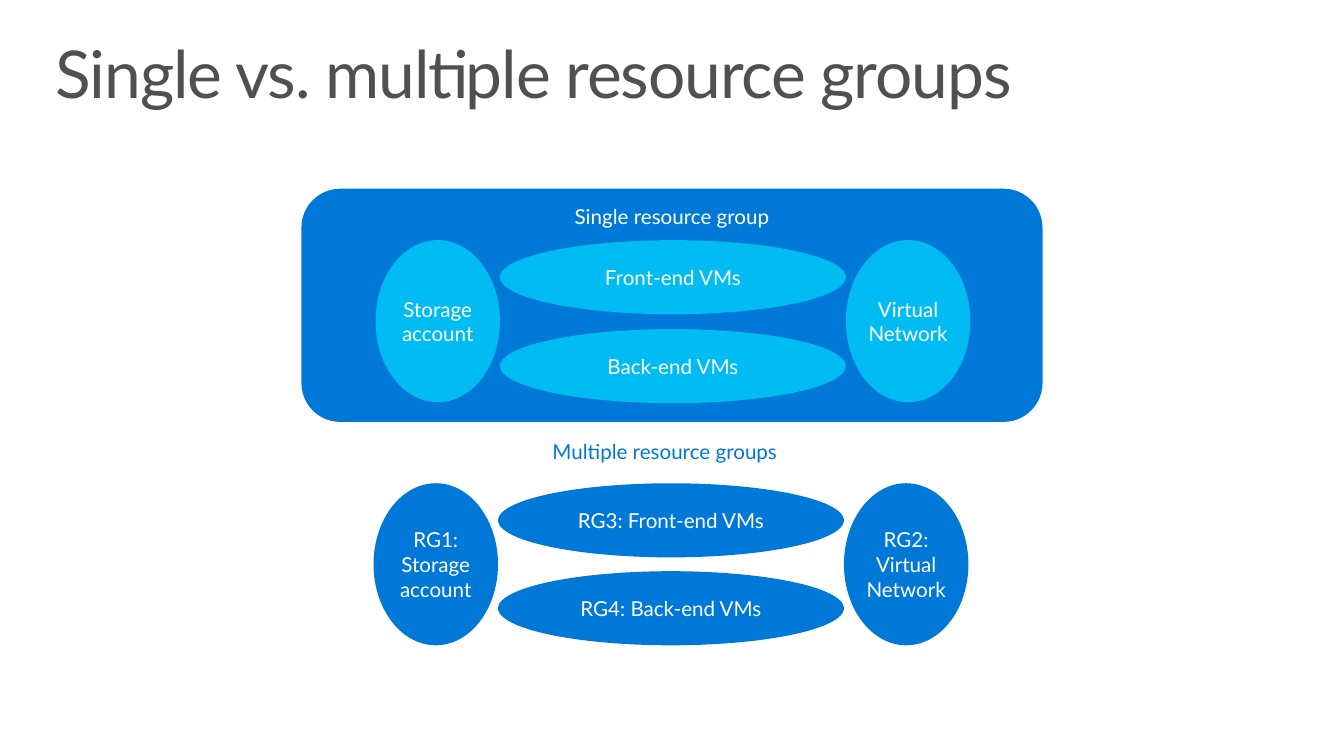
from pptx import Presentation
from pptx.dml.color import RGBColor
from pptx.enum import shapes, text
from pptx.util import Inches, Pt

FONT = "Lato"
BLUE = RGBColor(0x00, 0x78, 0xD7)
CYAN = RGBColor(0x00, 0xBC, 0xF2)
GRAY = RGBColor(0x50, 0x50, 0x50)
WHITE = RGBColor(0xFF, 0xFF, 0xFF)

SIDE_WIDTH, SIDE_HEIGHT = 1.26, 1.64
VM_WIDTH, VM_HEIGHT = 3.5, 0.75


def set_margins(frame, horizontal, vertical):
    frame.margin_left = frame.margin_right = Inches(horizontal)
    frame.margin_top = frame.margin_bottom = Inches(vertical)


def format_font(para, size, color):
    para.font.name = FONT
    para.font.size = Pt(size)
    para.font.color.rgb = color


def add_title(page, wording):
    title = page.shapes.title
    title.left, title.top = Inches(0.4), Inches(0.32)
    title.width, title.height = Inches(12.8), Inches(1)
    frame = title.text_frame
    frame.text = wording
    frame.word_wrap = True
    frame.auto_size = text.MSO_AUTO_SIZE.NONE
    frame.vertical_anchor = text.MSO_ANCHOR.TOP
    set_margins(frame, 0.16, 0.1)
    para = frame.paragraphs[0]
    para.alignment = text.PP_ALIGN.LEFT
    para.line_spacing = 0.9
    format_font(para, 48, GRAY)
    para.runs[0].font._element.set("spc", "-80")


def add_filled_shape(page, kind, bounds, wording, fill, anchor):
    shape = page.shapes.add_shape(kind, *(Inches(length) for length in bounds))
    shape.shadow.inherit = False
    shape.fill.solid()
    shape.fill.fore_color.rgb = fill
    shape.line.fill.background()
    frame = shape.text_frame
    frame.word_wrap = True
    frame.vertical_anchor = anchor
    set_margins(frame, 0, 0.04)
    frame.text = wording
    for para in frame.paragraphs:
        para.alignment = text.PP_ALIGN.CENTER
        format_font(para, 15, WHITE)


def add_resources(page, left, top, vm_step, fill, labels):
    """Two stacked VM ellipses between two tall ellipses."""
    front, back, network, storage = labels
    vm_left = left + SIDE_WIDTH
    network_left = vm_left + VM_WIDTH
    ellipses = [
        ((vm_left, top, VM_WIDTH, VM_HEIGHT), front),
        ((vm_left, top + vm_step, VM_WIDTH, VM_HEIGHT), back),
        ((network_left, top, SIDE_WIDTH, SIDE_HEIGHT), network),
        ((left, top, SIDE_WIDTH, SIDE_HEIGHT), storage),
    ]
    for bounds, wording in ellipses:
        add_filled_shape(page, shapes.MSO_SHAPE.OVAL, bounds, wording, fill,
                         text.MSO_ANCHOR.MIDDLE)


def add_caption(page, wording):
    box = page.shapes.add_textbox(Inches(5.44), Inches(4.36), Inches(2.7), Inches(0.47))
    frame = box.text_frame
    frame.word_wrap = False
    frame.auto_size = text.MSO_AUTO_SIZE.SHAPE_TO_FIT_TEXT
    set_margins(frame, 0.15, 0.12)
    frame.text = wording
    para = frame.paragraphs[0]
    para.line_spacing = 0.9
    para.space_after = Pt(4.5)
    format_font(para, 15, BLUE)


def main():
    deck = Presentation()
    deck.slide_width, deck.slide_height = Inches(13.6), Inches(7.65)
    page = deck.slides.add_slide(deck.slide_layouts[5])

    add_title(page, "Single vs. multiple resource groups")
    add_filled_shape(page, shapes.MSO_SHAPE.ROUNDED_RECTANGLE, (3.05, 1.91, 7.5, 2.36),
                     "Single resource group", BLUE, text.MSO_ANCHOR.TOP)
    add_resources(page, 3.8, 2.43, 0.9, CYAN,
                  ("Front-end VMs", "Back-end VMs", "Virtual Network", "Storage account"))
    add_caption(page, "Multiple resource groups")
    add_resources(page, 3.78, 4.89, 0.89, BLUE,
                  ("RG3: Front-end VMs", "RG4: Back-end VMs", "RG2: Virtual Network",
                   "RG1:\nStorage account"))

    deck.save("out.pptx")


if __name__ == "__main__":
    main()
